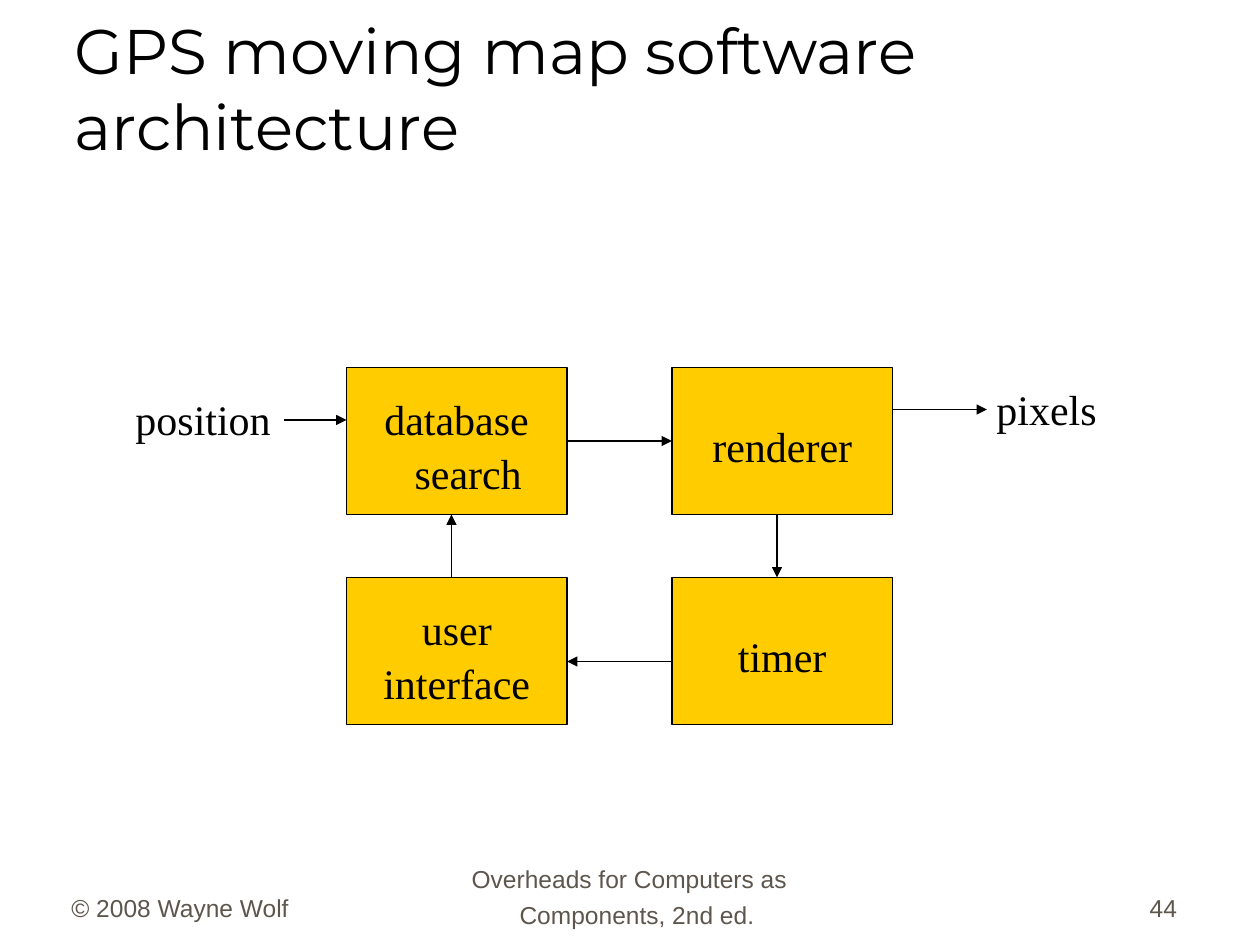
from lxml.etree import SubElement
from pptx import Presentation
from pptx.dml.color import RGBColor
from pptx.enum.shapes import MSO_CONNECTOR, MSO_SHAPE
from pptx.enum.text import MSO_ANCHOR, MSO_AUTO_SIZE, PP_ALIGN
from pptx.oxml.ns import qn
from pptx.util import Inches, Pt

BOX_WIDTH, BOX_HEIGHT = 21, 14
LEFT, RIGHT = 33, 64
TOP, BOTTOM = 35, 55


def cells(count):
    """Length of a number of grid cells, twelve to the inch."""
    return Inches(count / 12)


def color(code):
    return RGBColor.from_string(code)


class Diagram:
    """Style and current slide; places and sizes are (column, row) pairs."""
    ink, fill, muted = "000000", "FFCC00", "5D564D"
    title_font, body_font, footer_font = "Montserrat", "Times New Roman", "Arial"
    line_width = Pt(0.75)

    def __init__(self, page):
        self.page = page

    def set_text(self, shape, text, font, size, ink, spacing=1.0, indent=None,
                 align=PP_ALIGN.LEFT, anchor=MSO_ANCHOR.TOP, inset=0):
        """Set the text; indent is (left margin, first line) in inches."""
        frame = shape.text_frame
        frame.text = text
        frame.word_wrap = True
        frame.auto_size = MSO_AUTO_SIZE.NONE
        frame.vertical_anchor = anchor
        frame.margin_left = frame.margin_right = frame.margin_bottom = 0
        frame.margin_top = Inches(inset)
        para = frame.paragraphs[0]
        para.alignment = align
        para.line_spacing = spacing
        if indent:
            properties = para._p.get_or_add_pPr()
            properties.set("marL", str(Inches(indent[0])))
            properties.set("indent", str(Inches(indent[1])))
        for span in para.runs:
            span.font.name = font
            span.font.size = Pt(size)
            span.font.color.rgb = color(ink)

    def title(self, text, place, size):
        shape = self.page.shapes.title
        shape.left, shape.top = map(cells, place)
        shape.width, shape.height = map(cells, size)
        self.set_text(shape, text, self.title_font, 36, self.ink)

    def textbox(self, place, size):
        return self.page.shapes.add_textbox(*map(cells, place + size))

    def label(self, text, place, size):
        self.set_text(self.textbox(place, size), text, self.body_font, 24,
                      self.ink, 1.06)

    def footer(self, text, place, size, indent=None):
        self.set_text(self.textbox(place, size), text, self.footer_font, 14,
                      self.muted, 1.24, indent)

    def block(self, text, column, row, indent=None):
        box = self.page.shapes.add_shape(
            MSO_SHAPE.RECTANGLE,
            *map(cells, (column, row, BOX_WIDTH, BOX_HEIGHT)))
        box.shadow.inherit = False
        box.fill.solid()
        box.fill.fore_color.rgb = color(self.fill)
        box.line.color.rgb = color(self.ink)
        box.line.width = self.line_width
        self.set_text(box, text, self.body_font, 24, self.ink, 1.06, indent,
                      PP_ALIGN.LEFT if indent else PP_ALIGN.CENTER,
                      MSO_ANCHOR.MIDDLE, 0.05)
        return box

    def arrow(self, start, end):
        line = self.page.shapes.add_connector(
            MSO_CONNECTOR.STRAIGHT, *map(cells, start + end))
        line.line.color.rgb = color(self.ink)
        line.line.width = self.line_width
        SubElement(line.line._get_or_add_ln(), qn("a:tailEnd"), type="triangle")
        SubElement(line._element.spPr, qn("a:effectLst"))
        return line


def main():
    deck = Presentation()
    deck.slide_width, deck.slide_height = Inches(10), Inches(7.5)
    diagram = Diagram(deck.slides.add_slide(deck.slide_layouts[5]))

    diagram.title("GPS moving map software architecture", (7.1, 1.1), (106, 14.8))

    search = diagram.block("database search", LEFT, TOP, indent=(0.54, -0.24))
    renderer = diagram.block("renderer", RIGHT, TOP)
    diagram.block("timer", RIGHT, BOTTOM)
    diagram.block("user interface", LEFT, BOTTOM)
    diagram.label("position", (12.9, 37.2), (13.2, 5.2))
    diagram.label("pixels", (94.9, 36.2), (10, 5.2))

    left_end, right_end = LEFT + BOX_WIDTH, RIGHT + BOX_WIDTH
    top_end = TOP + BOX_HEIGHT
    diagram.arrow((27, 40), (LEFT, 40))
    diagram.arrow((right_end, 39), (94, 39))
    query = diagram.arrow((left_end, 42), (RIGHT, 42))
    query.begin_connect(search, 3)
    query.end_connect(renderer, 1)
    diagram.arrow((74, top_end), (74, BOTTOM))
    diagram.arrow((RIGHT, 63), (left_end, 63))
    diagram.arrow((43, BOTTOM), (43, top_end))

    diagram.footer("Overheads for Computers as Components, 2nd ed.",
                   (44.8, 81.6), (30.5, 5.8), indent=(0.39, -0.38))
    diagram.footer("© 2008 Wayne Wolf", (6.8, 84.4), (21.2, 3))
    diagram.footer("44", (109.5, 84.4), (3.3, 3))

    deck.save("out.pptx")


if __name__ == "__main__":
    main()
